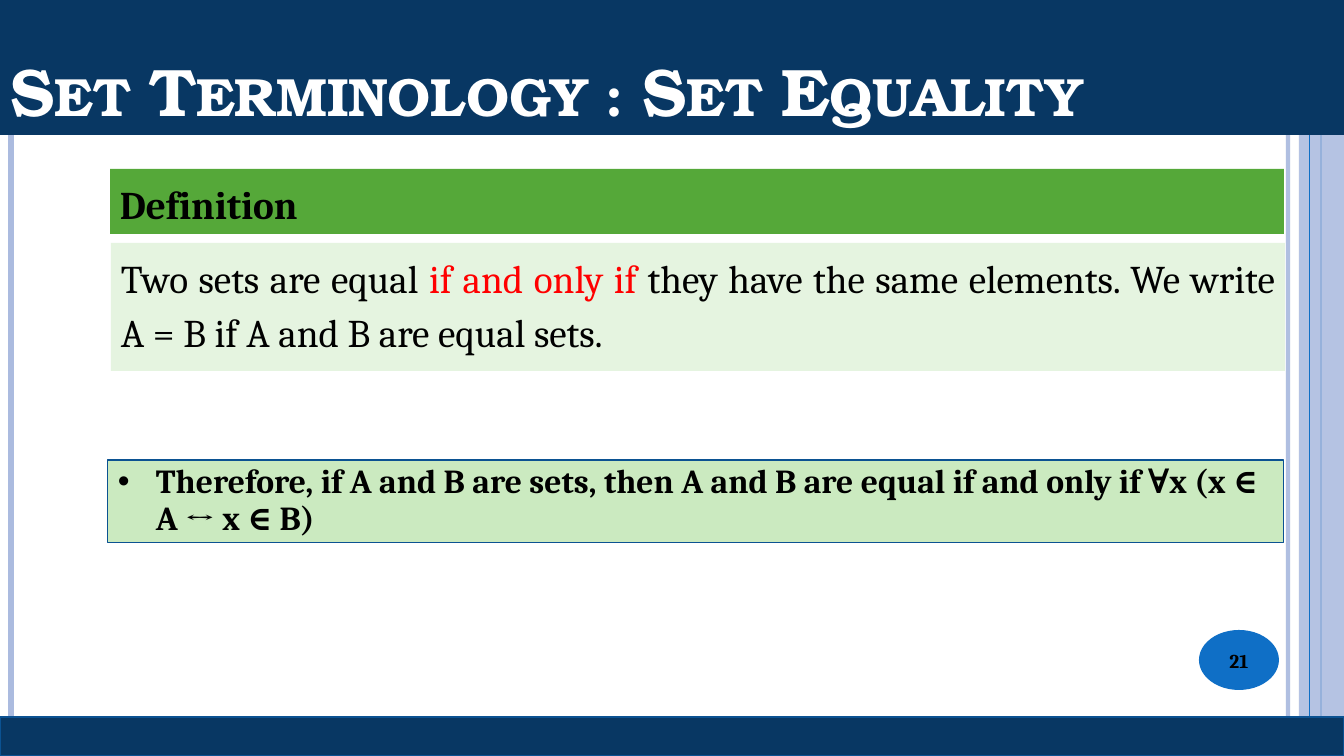
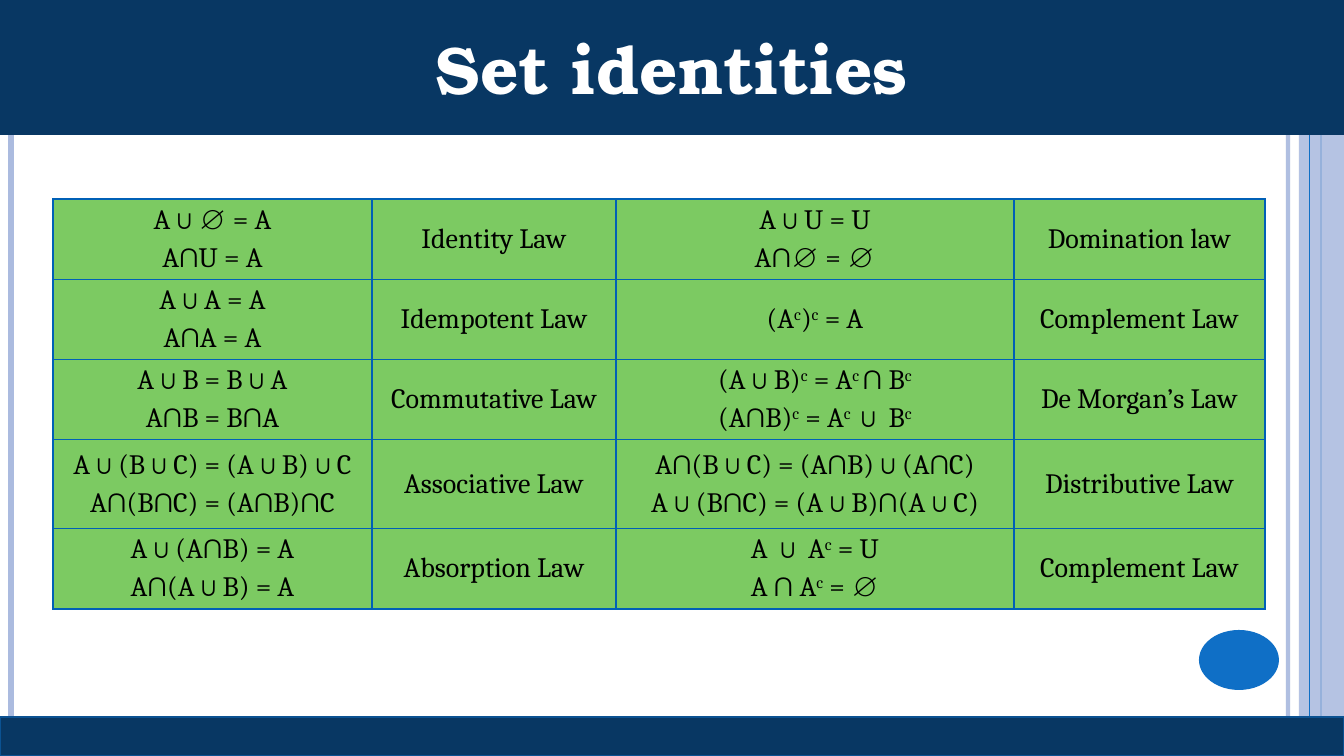
from lxml import etree
from pptx import Presentation
from pptx.dml.color import RGBColor
from pptx.enum.shapes import MSO_CONNECTOR, MSO_SHAPE
from pptx.enum.text import MSO_ANCHOR, MSO_AUTO_SIZE, PP_ALIGN
from pptx.oxml.ns import qn
from pptx.util import Pt

RECTANGLE, OVAL = MSO_SHAPE.RECTANGLE, MSO_SHAPE.OVAL
STRAIGHT = MSO_CONNECTOR.STRAIGHT
TOP, MIDDLE, BOTTOM = MSO_ANCHOR.TOP, MSO_ANCHOR.MIDDLE, MSO_ANCHOR.BOTTOM
LEFT, CENTER, JUSTIFY = PP_ALIGN.LEFT, PP_ALIGN.CENTER, PP_ALIGN.JUSTIFY
NO_AUTOFIT = MSO_AUTO_SIZE.NONE

SLIDE_W, SLIDE_H = 1344, 756
EMU_PER_PX = 12192000 / SLIDE_W
TITLE_H = 135
TITLE_FONT, BODY_FONT = "TeX Gyre Bonum", "Cambria"

WHITE = RGBColor(0xFF, 0xFF, 0xFF)
BLACK = RGBColor(0x00, 0x00, 0x00)
RED = RGBColor(0xFF, 0x00, 0x00)
NAVY = RGBColor(0x08, 0x37, 0x63)
BLUE = RGBColor(0x0F, 0x6F, 0xC6)
EDGE_BLUE = RGBColor(0x0B, 0x52, 0x92)
GRID_BLUE = RGBColor(0x00, 0x60, 0xB6)
LAVENDER = RGBColor(0xAB, 0xBB, 0xDF)
HEADING_GREEN = RGBColor(0x55, 0xA8, 0x39)
PALE_GREEN = RGBColor(0xE5, 0xF4, 0xE0)
SOFT_GREEN = RGBColor(0xCB, 0xEA, 0xC0)
TABLE_GREEN = RGBColor(0x7C, 0xCA, 0x62)

COLUMN_WIDTHS = [319, 244, 398, 251]
ROW_HEIGHTS = [80, 80, 80, 89, 80]
# Lines of a cell are parted by "\n"; text between carets is superscript
IDENTITIES = [
    ["A∪∅ = A\nA∩U = A", "Identity Law",
     "A∪U = U\nA∩∅ = ∅", "Domination law"],
    ["A∪A = A\nA∩A = A", "Idempotent Law",
     "(A^c^)^c^ = A", "Complement Law"],
    ["A∪B = B∪A\nA∩B = B∩A", "Commutative Law",
     "(A∪B)^c^ = A^c ^∩ B^c^\n(A∩B)^c^ = A^c ^∪ B^c^", "De Morgan’s Law"],
    ["A∪(B∪C) = (A∪B)∪C\nA∩(B∩C) = (A∩B)∩C", "Associative Law",
     "A∩(B∪C) = (A∩B)∪(A∩C)\nA∪(B∩C) = (A∪B)∩(A∪C)", "Distributive Law"],
    ["A∪(A∩B) = A\nA∩(A∪B) = A", "Absorption Law",
     "A ∪ A^c^ = U\nA ∩ A^c^ = ∅", "Complement Law"],
]


def px(length):
    return round(length * EMU_PER_PX)


def box(*lengths):
    return [px(length) for length in lengths]


def set_font(font, size, name=BODY_FONT, color=BLACK, bold=False):
    font.size, font.name, font.bold = Pt(size), name, bold
    font.color.rgb = color


def set_alpha(shape, percent):
    color = next(shape.element.iter(qn("a:srgbClr")))
    etree.SubElement(color, qn("a:alpha")).set("val", str(percent * 1000))


def add_panel(slide, bounds, fill, line=None, width=1, kind=RECTANGLE):
    panel = slide.shapes.add_shape(kind, *box(*bounds))
    panel.shadow.inherit = False
    panel.fill.solid()
    panel.fill.fore_color.rgb = fill
    if line is None:
        panel.line.fill.background()
    else:
        panel.line.color.rgb = line
        panel.line.width = Pt(width)
    return panel


def add_rule(slide, x, color, width):
    rule = slide.shapes.add_connector(STRAIGHT, *box(x, 0, x, SLIDE_H))
    rule.line.color.rgb = color
    rule.line.width = Pt(width)
    etree.SubElement(rule.element.spPr, qn("a:effectLst"))
    return rule


def write(shape, runs, size, align=LEFT, anchor=TOP, spacing=None, bold=False,
          bullet=False):
    """Fill a shape with one paragraph of (text, colour) runs."""
    frame = shape.text_frame
    frame.word_wrap = True
    frame.vertical_anchor = anchor
    paragraph = frame.paragraphs[0]
    paragraph.alignment = align
    if spacing:
        paragraph.line_spacing = spacing
    if bullet:
        properties = paragraph._p.get_or_add_pPr()
        properties.set("marL", str(px(38)))
        properties.set("indent", str(px(-38)))
        etree.SubElement(properties, qn("a:buFont")).set("typeface", "Arial")
        etree.SubElement(properties, qn("a:buChar")).set("char", "•")
    set_font(paragraph.font, size, bold=bold)
    for text, color in runs:
        run = paragraph.add_run()
        run.text = text
        run.font.color.rgb = color


def decorate_layout(prs, layout):
    """Draw the shared rules, bands and number badge into the layout."""
    for placeholder in list(layout.placeholders)[1:]:
        layout.shapes.element.remove(placeholder.element)
    draft = prs.slides.add_slide(layout)
    set_alpha(add_rule(draft, 1288, LAVENDER, 3), 93)
    add_rule(draft, 11, LAVENDER, 4.5)
    add_rule(draft, 1321, BLUE, 1.5)
    set_alpha(add_panel(draft, (1299, 0, 45, SLIDE_H), LAVENDER), 87)
    add_rule(draft, 1310, BLUE, 0.75)
    add_panel(draft, (1199, 630, 80, 60), BLUE, kind=OVAL)
    add_panel(draft, (0, 717, SLIDE_W, 39), NAVY, EDGE_BLUE, 2)
    for part in list(draft.shapes)[1:]:
        layout.shapes.element.append(part.element)
    return draft


def set_title(slide, text, align, anchor, small_caps=False):
    title = slide.shapes.title
    title.left, title.top, title.width, title.height = box(0, 0, SLIDE_W, TITLE_H)
    title.fill.solid()
    title.fill.fore_color.rgb = NAVY
    frame = title.text_frame
    frame.auto_size = NO_AUTOFIT
    frame.vertical_anchor = anchor
    frame.text = text
    paragraph = frame.paragraphs[0]
    paragraph.alignment = align
    set_font(paragraph.font, 48, TITLE_FONT, WHITE, True)
    if small_caps:
        paragraph.font._element.set("cap", "small")


def add_borders(cell):
    properties = cell._tc.get_or_add_tcPr()
    for side in ("lnL", "lnR", "lnT", "lnB"):
        border = etree.SubElement(properties, qn(f"a:{side}"), w=str(Pt(1)))
        fill = etree.SubElement(border, qn("a:solidFill"))
        etree.SubElement(fill, qn("a:srgbClr"), val=str(GRID_BLUE))


def fill_cell(cell, text):
    add_borders(cell)
    cell.fill.solid()
    cell.fill.fore_color.rgb = TABLE_GREEN
    cell.vertical_anchor = MIDDLE
    frame = cell.text_frame
    for index, line in enumerate(text.split("\n")):
        paragraph = frame.add_paragraph() if index else frame.paragraphs[0]
        paragraph.alignment = CENTER
        if index:
            paragraph.space_before = Pt(4)
        set_font(paragraph.font, 20)
        for position, piece in enumerate(line.split("^")):
            if piece:
                run = paragraph.add_run()
                run.text = piece
                if position % 2:
                    run.font._element.set("baseline", "30000")


def add_identity_table(slide):
    bounds = box(53, 199, sum(COLUMN_WIDTHS), sum(ROW_HEIGHTS))
    table = slide.shapes.add_table(len(ROW_HEIGHTS), len(COLUMN_WIDTHS), *bounds).table
    table.first_row = table.horz_banding = False
    for column, width in zip(table.columns, COLUMN_WIDTHS):
        column.width = px(width)
    for row, height, texts in zip(table.rows, ROW_HEIGHTS, IDENTITIES):
        row.height = px(height)
        for cell, text in zip(row.cells, texts):
            fill_cell(cell, text)


def build_equality(slide):
    set_title(slide, "Set Terminology : Set Equality", LEFT, BOTTOM, small_caps=True)

    # Slide number on the badge
    number = slide.shapes.add_textbox(*box(1194, 632, 90, 57))
    write(number, [("21", BLACK)], 14, CENTER, MIDDLE, bold=True)

    # Definition
    heading = add_panel(slide, (110, 169, 1174, 65), HEADING_GREEN)
    write(heading, [("Definition", BLACK)], 28, spacing=1.14, bold=True)
    definition = add_panel(slide, (111, 243, 1174, 128), PALE_GREEN)
    write(definition, [
        ("Two sets are equal ", BLACK),
        ("if and only if", RED),
        (" they have the same elements. We write A = B if A and B are equal sets.",
         BLACK),
    ], 28, JUSTIFY, spacing=1.14)

    # Consequence
    consequence = add_panel(slide, (108, 460, 1176, 83), SOFT_GREEN, EDGE_BLUE, 0.75)
    write(consequence, [
        ("Therefore, if A and B are sets, then A and B are equal if and only if "
         "∀x (x ∈ A ↔ x ∈ B)", BLACK),
    ], 24, spacing=0.9, bold=True, bullet=True)


def build_identities(slide):
    set_title(slide, "Set identities", CENTER, MIDDLE)
    add_identity_table(slide)


def main():
    prs = Presentation()
    prs.slide_width, prs.slide_height = box(SLIDE_W, SLIDE_H)
    title_only = prs.slide_layouts[5]
    build_equality(decorate_layout(prs, title_only))
    build_identities(prs.slides.add_slide(title_only))
    prs.save("out.pptx")


if __name__ == "__main__":
    main()
